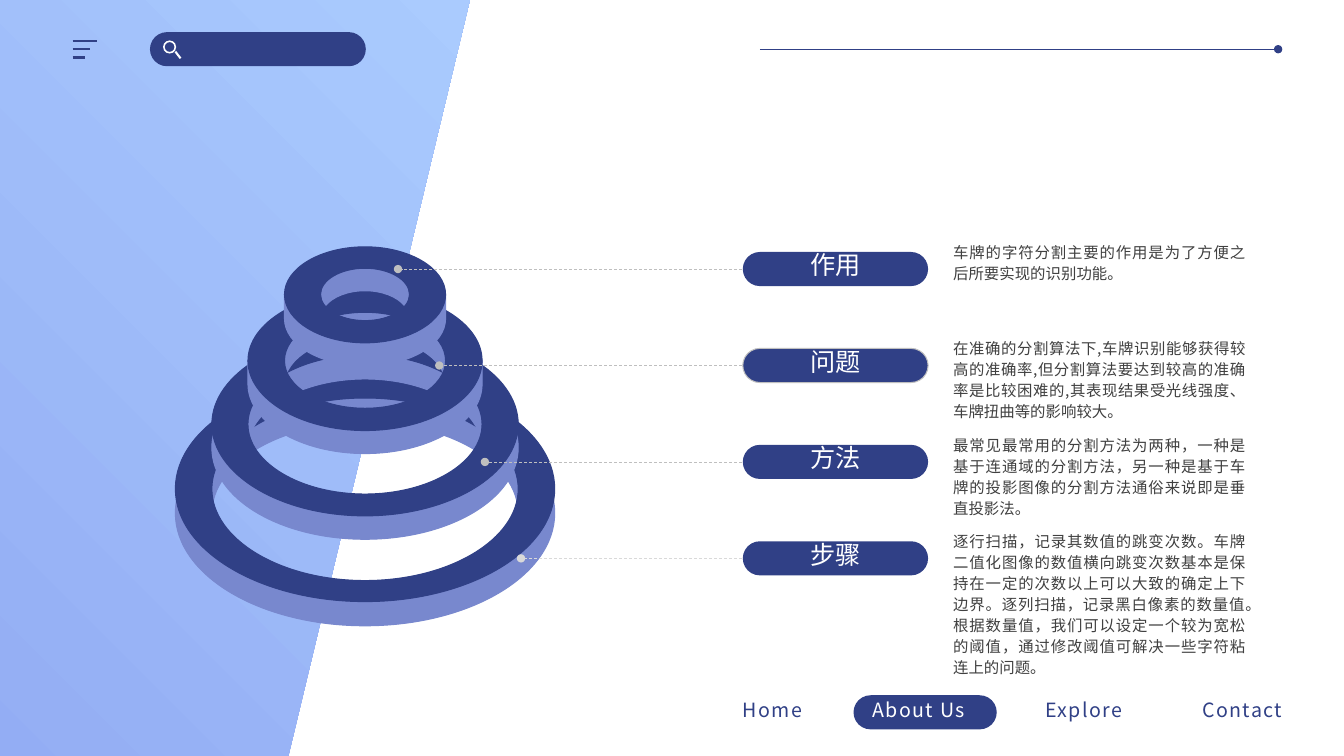
from typing import NamedTuple, Optional

from lxml.etree import SubElement
from pptx import Presentation
from pptx.dml.color import RGBColor
from pptx.enum.dml import MSO_LINE
from pptx.enum.shapes import MSO_CONNECTOR, MSO_SHAPE
from pptx.enum.text import MSO_AUTO_SIZE, PP_ALIGN
from pptx.oxml.ns import qn
from pptx.util import Cm, Pt

NAVY = RGBColor(0x30, 0x40, 0x86)
LILAC = RGBColor(0x78, 0x88, 0xCE)
DEEP = RGBColor(0x8B, 0xA2, 0xF0)
SKY = RGBColor(0xAA, 0xCB, 0xFE)
WHITE = RGBColor(0xFF, 0xFF, 0xFF)
INK = RGBColor(0x40, 0x40, 0x40)
GREY = RGBColor(0xBF, 0xBF, 0xBF)
PALE = RGBColor(0xD9, 0xD9, 0xD9)
FONT = "Noto Sans CJK SC"
AXIS = 9.2

Curve = list[tuple[float, float]]


class Ring(NamedTuple):
    curves: list[Curve]
    fill: RGBColor
    edge: bool = True


class Topic(NamedTuple):
    name: str
    body: str
    tall: float
    tip: float
    line: RGBColor = GREY
    edge: Optional[RGBColor] = None


class Link(NamedTuple):
    text: str
    left: float
    width: float
    color: RGBColor = NAVY


def egg(rad: float, top: float, mid: float, low: float) -> Curve:
    """Right half of an oval, as Bezier points from top to bottom."""
    k = 0.55
    return [(0, top), (rad * k, top), (rad, mid - (mid - top) * k), (rad, mid),
            (rad, mid + (low - mid) * k), (rad * k, low), (0, low)]


RINGS = [
    Ring([egg(3.86, 10.64, 12.93, 14.99),
          [(0, 9.91), (2.74, 9.91), (4.04, 11.63), (4.6, 12.17),
           (4.72, 12.4), (4.78, 12.67), (4.78, 12.93),
           (4.78, 14.5), (2.64, 15.77), (0, 15.77)]], LILAC),
    Ring([egg(3.86, 10.03, 12.32, 14.63), egg(4.78, 9.47, 12.32, 15.16)], NAVY),
    Ring([egg(2.95, 9.55, 11.3, 12.8),
          [(0, 8.64), (2.41, 8.64), (3.05, 10.03), (3.61, 10.46),
           (3.78, 10.72), (3.86, 11), (3.86, 11.28),
           (3.86, 12.57), (2.13, 13.59), (0, 13.59)]], LILAC),
    Ring([egg(2.95, 8.94, 10.69, 12.45), egg(3.86, 8.38, 10.69, 13)], NAVY),
    Ring([egg(2.03, 8.48, 9.68, 10.72),
          [(0, 7.59), (1.93, 7.59), (2.95, 9.09), (2.95, 9.09),
           (2.95, 9.29), (2.95, 9.49), (2.95, 9.68),
           (2.95, 10.64), (1.63, 11.43), (0, 11.43)]], LILAC),
    Ring([egg(2.03, 7.87, 9.09, 10.29), egg(2.95, 7.34, 9.09, 10.85)], NAVY),
    Ring([[(0, 6.73), (0.2, 6.73), (0.41, 6.76), (0.61, 6.81),
           (0.91, 6.93), (1.12, 7.14), (1.12, 7.39),
           (1.12, 7.53), (1.07, 7.65), (0.99, 7.72),
           (0.81, 7.49), (0.43, 7.34), (0, 7.34)]], LILAC, False),
    Ring([[(0, 8.64), (1.12, 8.64), (2.03, 8.08), (2.03, 7.42),
           (2.03, 7.62), (2.03, 7.82), (2.03, 8.03),
           (2.03, 8.69), (1.12, 9.22), (0, 9.22)]], LILAC),
    Ring([egg(1.12, 6.76, 7.42, 8.08), egg(2.03, 6.22, 7.42, 8.64)], NAVY),
]

TOPICS = [
    Topic("作用", "车牌的字符分割主要的作用是为了方便之后所要实现的识别功能。", 1.3, 10.03),
    Topic("问题", "在准确的分割算法下,车牌识别能够获得较高的准确率,但分割算法要达到较高的"
          "准确率是比较困难的,其表现结果受光线强度、车牌扭曲等的影响较大。",
          2.36, 11.07, edge=GREY),
    Topic("方法", "最常见最常用的分割方法为两种，一种是基于连通域的分割方法，另一种是基于"
          "车牌的投影图像的分割方法通俗来说即是垂直投影法。", 2.36, 12.22),
    Topic("步骤", "逐行扫描，记录其数值的跳变次数。车牌二值化图像的数值横向跳变次数基本是"
          "保持在一定的次数以上可以大致的确定上下边界。逐列扫描，记录黑白像素的数量值。"
          "根据数量值，我们可以设定一个较为宽松的阈值，通过修改阈值可解决一些字符粘连上的问题。",
          3.43, 13.13, PALE),
]

LINKS = [Link("Home", 18.47, 2.11), Link("About Us", 21.74, 3.23, WHITE),
         Link("Explore", 26.09, 2.54), Link("Contact", 30.05, 2.79)]

deck = Presentation()
deck.slide_width, deck.slide_height = Cm(33.87), Cm(19.05)
shapes = deck.slides.add_slide(deck.slide_layouts[6]).shapes


def paint(shape, fill: RGBColor, edge: Optional[RGBColor] = None) -> None:
    shape.shadow.inherit = False
    shape.fill.solid()
    shape.fill.fore_color.rgb = fill
    if edge is None:
        shape.line.fill.background()
    else:
        shape.line.color.rgb = edge
        shape.line.width = Pt(0.75)


def mirror(half: Curve) -> list[tuple[int, int]]:
    """Close the half outline over the axis, in slide units."""
    pts = half + [(-x, y) for x, y in reversed(half[:-1])]
    return [(Cm(AXIS + x), Cm(y)) for x, y in pts]


def bend(shape) -> None:
    """Turn each three line segments into one Bezier curve."""
    lines = list(shape._element.iter(qn("a:lnTo")))
    for i in range(0, len(lines), 3):
        curve = lines[i].makeelement(qn("a:cubicBezTo"))
        lines[i].addprevious(curve)
        for line in lines[i:i + 3]:
            curve.append(line[0])
            line.getparent().remove(line)


def draw_ring(ring: Ring) -> None:
    first, *rest = map(mirror, ring.curves)
    pen = shapes.build_freeform(*first[0])
    pen.add_line_segments(first[1:], close=True)
    for pts in rest:
        pen.move_to(*pts[0])
        pen.add_line_segments(pts[1:], close=True)
    shape = pen.convert_to_shape()
    bend(shape)
    paint(shape, ring.fill, ring.fill if ring.edge else None)


def add_pill(left: float, top: float, width: float,
             edge: Optional[RGBColor] = None) -> None:
    pill = shapes.add_shape(MSO_SHAPE.ROUNDED_RECTANGLE,
                            Cm(left), Cm(top), Cm(width), Cm(0.86))
    pill.adjustments[0] = 0.5
    paint(pill, NAVY, edge)


def add_line(x1: float, y1: float, x2: float, y2: float, color: RGBColor,
             width: float, dot: bool = False, dash: bool = False) -> None:
    line = shapes.add_connector(MSO_CONNECTOR.STRAIGHT,
                                Cm(x1), Cm(y1), Cm(x2), Cm(y2))
    line.line.color.rgb = color
    line.line.width = Pt(width)
    if dash:
        line.line.dash_style = MSO_LINE.DASH
    if dot:
        SubElement(line.line._get_or_add_ln(), qn("a:tailEnd"), type="oval")
    SubElement(line._element.spPr, qn("a:effectLst"))


def add_text(text: str, left: float, top: float, width: float, height: float,
             size: float, color: RGBColor, align: PP_ALIGN = PP_ALIGN.LEFT,
             wrap: bool = True, lead: float = 0, gap: float = 0) -> None:
    frame = shapes.add_textbox(Cm(left), Cm(top), Cm(width), Cm(height)).text_frame
    frame.word_wrap = wrap
    frame.auto_size = MSO_AUTO_SIZE.SHAPE_TO_FIT_TEXT
    para = frame.paragraphs[0]
    para.text = text
    para.alignment = align
    if lead:
        para.line_spacing = Pt(lead)
    para.font.size = Pt(size)
    para.font.color.rgb = color
    para.font.name = FONT
    props = para._p.pPr.find(qn("a:defRPr"))
    SubElement(props, qn("a:ea"), typeface=FONT)
    if gap:
        props.set("spc", str(round(gap * 100)))


panel = shapes.add_shape(MSO_SHAPE.PARALLELOGRAM,
                         Cm(-8.97), Cm(-0.28), Cm(20.88), Cm(21.74))
paint(panel, DEEP)
panel.fill.gradient()
panel.fill.gradient_angle = 45
for stop, color in zip(panel.fill.gradient_stops, (DEEP, SKY)):
    stop.color.rgb = color

for ring in RINGS:
    draw_ring(ring)

add_pill(3.78, 0.81, 5.44)
lens = shapes.add_shape(MSO_SHAPE.DONUT, Cm(4.11), Cm(1.02), Cm(0.33), Cm(0.33))
lens.adjustments[0] = 0.125
paint(lens, WHITE)
add_line(4.42, 1.3, 4.55, 1.47, WHITE, 1.5)
for y, end in ((1.04, 2.44), (1.24, 2.26), (1.45, 2.13)):
    add_line(1.83, y, end, y, NAVY, 1.5)
add_line(19.15, 1.24, 32.21, 1.24, NAVY, 0.5, dot=True)

add_pill(21.51, 17.52, 3.61)
for link in LINKS:
    add_text(link.text, link.left, 17.45, link.width, 0.86, 14, link.color,
             wrap=False, gap=1)

for row, topic in enumerate(TOPICS):
    y = 6.78 + 2.43 * row
    add_text(topic.body, 23.77, y - 0.84, 7.87, topic.tall, 11, INK,
             PP_ALIGN.JUSTIFY, lead=15)
    add_line(18.82, y, topic.tip, y, topic.line, 0.5, dot=True, dash=True)
    add_pill(18.72, y - 0.43, 4.67, topic.edge)
    add_text(topic.name, 18.92, y - 0.61, 4.27, 1.02, 18, WHITE, PP_ALIGN.CENTER)

deck.save("out.pptx")
